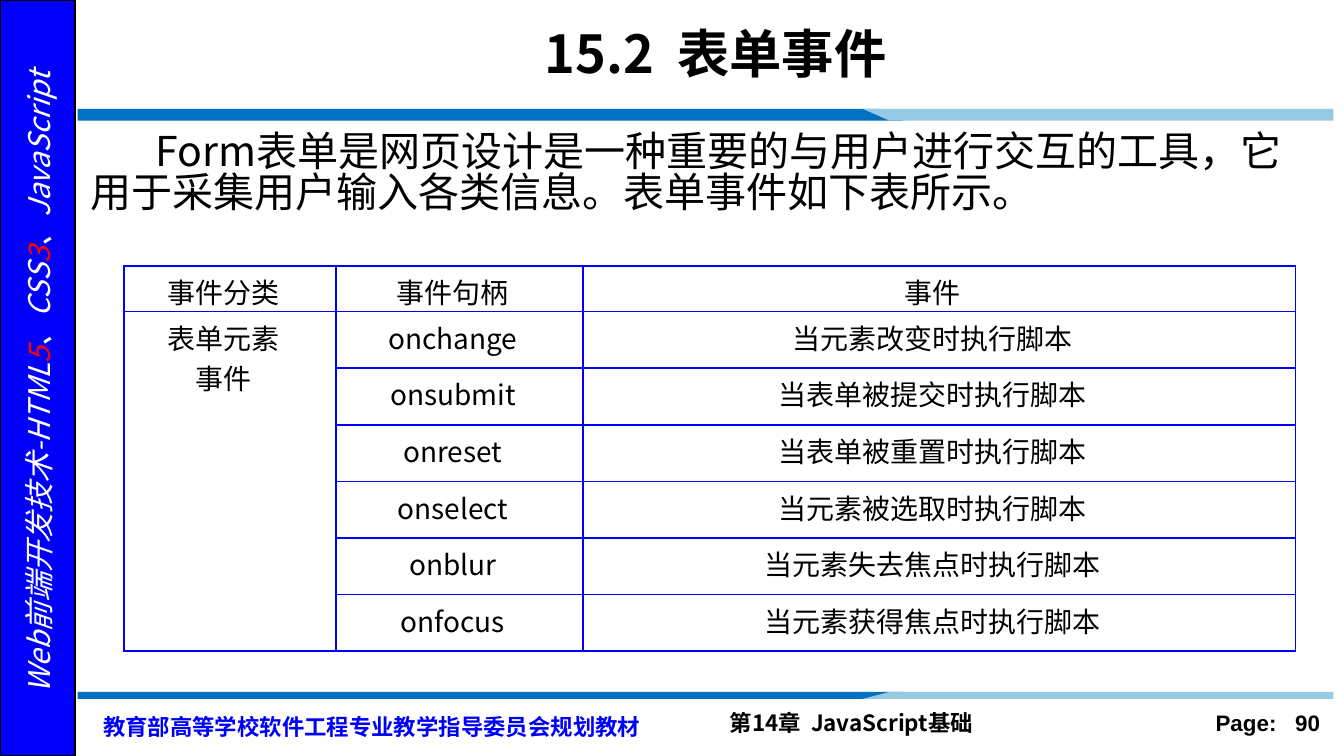
from dataclasses import dataclass

from lxml.etree import SubElement
from pptx import Presentation
from pptx.dml.color import RGBColor
from pptx.enum.shapes import MSO_SHAPE
from pptx.enum.text import MSO_ANCHOR, PP_ALIGN
from pptx.oxml.ns import qn
from pptx.util import Cm, Pt

COLORS = {
    "black": "000000",
    "white": "FFFFFF",
    "red": "FF0000",
    "sidebar": "0000FA",
    "border": "0000FF",
    "dark_band": "0070C0",
    "light_band": "96CAE4",
}
CJK_FONT = "Noto Sans CJK SC"


@dataclass
class TextRun:
    text: str
    color: str = "black"


@dataclass
class TextBox:
    left: float
    top: float
    width: float
    height: float
    runs: list[TextRun]
    size: float
    font: str = CJK_FONT
    bold: bool = False
    italic: bool = False
    align: PP_ALIGN = PP_ALIGN.LEFT
    anchor: MSO_ANCHOR = MSO_ANCHOR.MIDDLE
    rotation: float = 0
    wrap: bool = True
    line_spacing: float | None = None
    first_indent: float = 0
    margin_top: float = 0.13


@dataclass
class Band:
    """A two-colour rule whose slanted joint runs from the start to the end height."""
    start: float
    end: float


TEXT_BOXES = [
    TextBox(13.54, 13.28, 8.36, 0.76, [TextRun("第14章  JavaScript基础")], 12, bold=True),
    TextBox(22.02, 13.28, 3.18, 0.76, [TextRun("Page:   90")], 12, font="Arial",
            bold=True, align=PP_ALIGN.RIGHT),
    TextBox(1.7, 13.28, 11, 0.89,
            [TextRun("教育部高等学校软件工程专业教学指导委员会规划教材", "sidebar")],
            12, bold=True),
    TextBox(-5.87, 6.76, 13.18, 0.94,
            [TextRun("Web前端开发技术-HTML", "white"), TextRun("5", "red"),
             TextRun("、CSS", "white"), TextRun("3", "red"),
             TextRun("、JavaScript", "white")],
            16, italic=True, align=PP_ALIGN.CENTER, rotation=270, wrap=False),
    TextBox(2.74, 0.2, 21.56, 1.57, [TextRun("15.2  表单事件")], 28, bold=True,
            align=PP_ALIGN.CENTER),
    TextBox(1.47, 2.29, 23.62, 2.11,
            [TextRun("Form表单是网页设计是一种重要的与用户进行交互的工具，"
                     "它用于采集用户输入各类信息。表单事件如下表所示。")],
            22, anchor=MSO_ANCHOR.TOP, line_spacing=0.82, first_indent=1.22,
            margin_top=0.25),
]

BANDS = [Band(2.06, 2.28), Band(13.21, 13.08)]

TABLE_LEFT, TABLE_TOP = 2.34, 5.03
COLUMN_WIDTHS = [4.01, 4.67, 13.46]
HEADER_HEIGHT, ROW_HEIGHT = 0.86, 1.07
HEADERS = ["事件分类", "事件句柄", "事件"]
CATEGORY = ["表单元素", "事件"]
EVENTS = [
    ("onchange", "当元素改变时执行脚本"),
    ("onsubmit", "当表单被提交时执行脚本"),
    ("onreset", "当表单被重置时执行脚本"),
    ("onselect", "当元素被选取时执行脚本"),
    ("onblur", "当元素失去焦点时执行脚本"),
    ("onfocus", "当元素获得焦点时执行脚本"),
]


def rgb(name: str) -> RGBColor:
    return RGBColor.from_string(COLORS[name])


def add_run(paragraph, text_run: TextRun, size: float, font: str = CJK_FONT,
            bold: bool = False, italic: bool = False) -> None:
    run = paragraph.add_run()
    run.text = text_run.text
    run.font.size = Pt(size)
    run.font.bold = bold
    run.font.italic = italic
    run.font.color.rgb = rgb(text_run.color)
    run.font.name = font
    SubElement(run.font._element, qn("a:ea")).set("typeface", font)


def add_text_box(slide, box: TextBox) -> None:
    shape = slide.shapes.add_textbox(Cm(box.left), Cm(box.top), Cm(box.width), Cm(box.height))
    shape.rotation = box.rotation
    frame = shape.text_frame
    frame.word_wrap = box.wrap
    frame.vertical_anchor = box.anchor
    frame.margin_top = Cm(box.margin_top)
    paragraph = frame.paragraphs[0]
    paragraph.alignment = box.align
    if box.line_spacing:
        paragraph.line_spacing = box.line_spacing
    if box.first_indent:
        paragraph._p.get_or_add_pPr().set("indent", str(Cm(box.first_indent)))
    for text_run in box.runs:
        add_run(paragraph, text_run, box.size, box.font, box.bold, box.italic)


def add_sidebar(slide, height: int) -> None:
    shape = slide.shapes.add_shape(MSO_SHAPE.RECTANGLE, 0, 0, Cm(1.42), height)
    shape.shadow.inherit = False
    shape.fill.solid()
    shape.fill.fore_color.rgb = rgb("sidebar")
    shape.line.color.rgb = rgb("black")
    shape.line.width = Pt(1)


def add_polygon(slide, points: list[tuple[float, float]], color: str) -> None:
    first, *others = [(Cm(x), Cm(y)) for x, y in points]
    builder = slide.shapes.build_freeform(*first)
    builder.add_line_segments(others, close=True)
    shape = builder.convert_to_shape()
    shape.shadow.inherit = False
    shape.fill.solid()
    shape.fill.fore_color.rgb = rgb(color)
    shape.line.fill.background()


def add_band(slide, band: Band) -> None:
    start, end = band.start, band.end
    add_polygon(slide, [(1.47, start), (16.61, start), (17.07, end), (1.47, end)], "dark_band")
    add_polygon(slide, [(16.31, start), (25.2, start), (25.2, end), (16.81, end)], "light_band")


def add_borders(cell) -> None:
    properties = cell._tc.get_or_add_tcPr()
    for side in ("a:lnL", "a:lnR", "a:lnT", "a:lnB"):
        line = SubElement(properties, qn(side), w=str(Pt(1)))
        fill = SubElement(line, qn("a:solidFill"))
        SubElement(fill, qn("a:srgbClr"), val=COLORS["border"])


def fill_cell(cell, lines: list[str]) -> None:
    add_borders(cell)
    cell.fill.background()
    cell.margin_left, cell.margin_right = 0, Cm(0.25)
    cell.margin_top = cell.margin_bottom = Cm(0.1)
    for index, line in enumerate(lines):
        frame = cell.text_frame
        paragraph = frame.add_paragraph() if index else frame.paragraphs[0]
        paragraph.alignment = PP_ALIGN.CENTER
        add_run(paragraph, TextRun(line), 15)


def add_event_table(slide) -> None:
    row_heights = [HEADER_HEIGHT] + [ROW_HEIGHT] * len(EVENTS)
    table = slide.shapes.add_table(
        len(row_heights), len(COLUMN_WIDTHS), Cm(TABLE_LEFT), Cm(TABLE_TOP),
        Cm(sum(COLUMN_WIDTHS)), Cm(sum(row_heights))).table
    table.first_row = table.horz_banding = False
    for column, width in zip(table.columns, COLUMN_WIDTHS):
        column.width = Cm(width)
    for row, height in zip(table.rows, row_heights):
        row.height = Cm(height)
    table.cell(1, 0).merge(table.cell(len(EVENTS), 0))
    contents = [[[header] for header in HEADERS]]
    for index, (handler, description) in enumerate(EVENTS):
        contents.append([[] if index else CATEGORY, [handler], [description]])
    for row, cells in zip(table.rows, contents):
        for cell, lines in zip(row.cells, cells):
            fill_cell(cell, lines)


def main() -> None:
    presentation = Presentation()
    presentation.slide_width, presentation.slide_height = Cm(25.4), Cm(14.29)
    slide = presentation.slides.add_slide(presentation.slide_layouts[6])
    add_sidebar(slide, presentation.slide_height)
    for band in BANDS:
        add_band(slide, band)
    for box in TEXT_BOXES:
        add_text_box(slide, box)
    add_event_table(slide)
    presentation.save("out.pptx")


if __name__ == "__main__":
    main()
